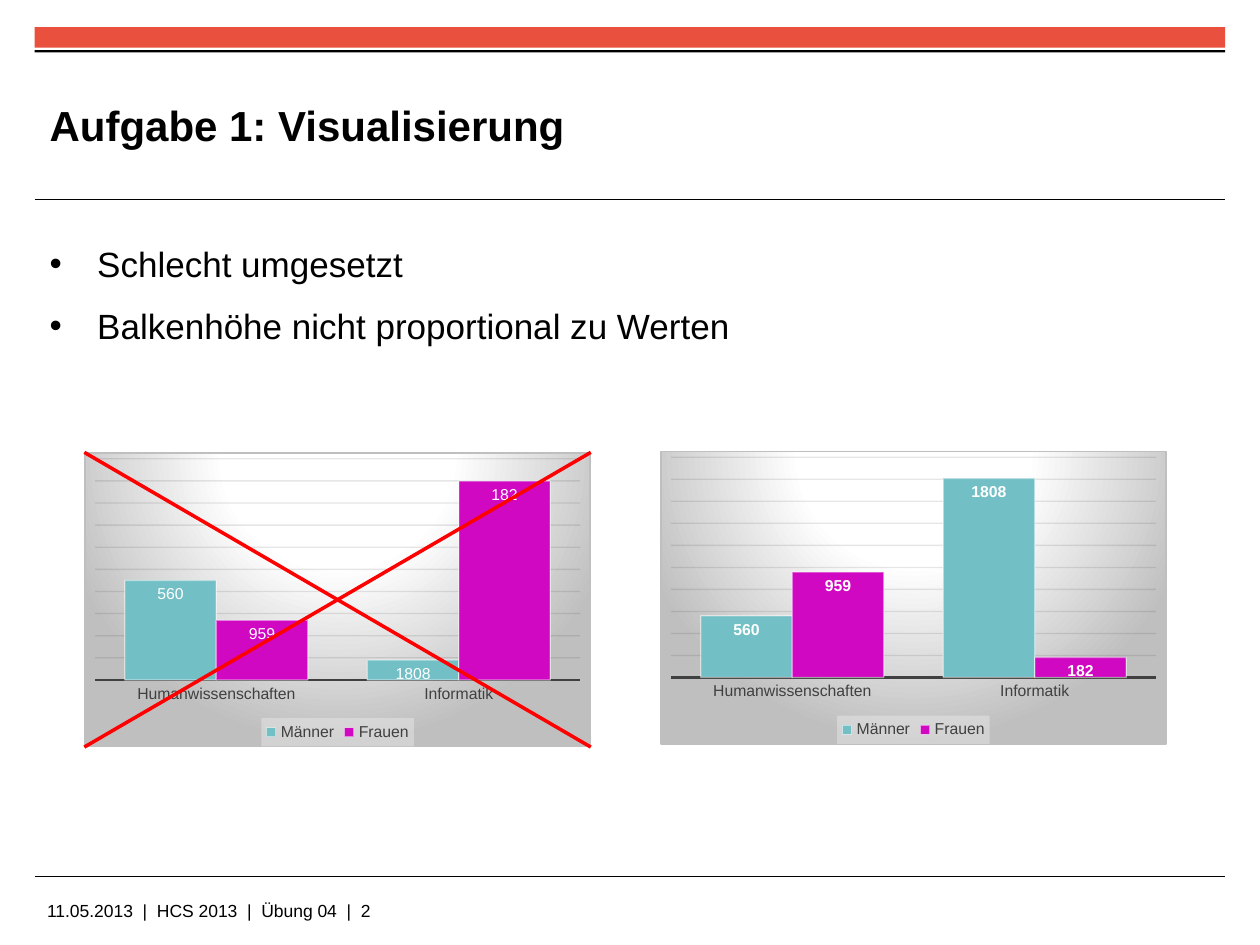
"""Builds the slide that contrasts a misleading bar chart with a proportional one."""
from dataclasses import dataclass

from pptx import Presentation
from pptx.chart.data import CategoryChartData
from pptx.dml.color import RGBColor
from pptx.enum.chart import XL_CHART_TYPE as ChartType
from pptx.enum.chart import XL_LABEL_POSITION as LabelPosition
from pptx.enum.chart import XL_LEGEND_POSITION as LegendPosition
from pptx.enum.chart import XL_TICK_MARK as TickMark
from pptx.enum.shapes import MSO_CONNECTOR as Connector
from pptx.enum.shapes import MSO_SHAPE as Shape
from pptx.enum.text import MSO_ANCHOR as Anchor
from pptx.oxml import parse_xml
from pptx.oxml.ns import nsdecls, qn
from pptx.util import Cm, Pt


@dataclass(frozen=True)
class Theme:
    font: str = "Arial"
    ink: str = "000000"
    paper: str = "FFFFFF"
    accent: str = "E9503E"
    cross: str = "FF0000"
    axis: str = "404040"
    grid: str = "0D0D0D"
    edge: str = "BFBFBF"
    legend: str = "F2F2F2"
    series: tuple = ("72BFC5", "D008C2")
    title_size: int = 24
    body_size: int = 20
    footer_size: int = 10
    chart_size: int = 9


class SlideBuilder:
    def __init__(self, slide, theme):
        self.slide = slide
        self.theme = theme

    def style_font(self, font, size, color, bold=False):
        font.name, font.size, font.bold = self.theme.font, Pt(size), bold
        font.color.rgb = RGBColor.from_string(color)

    def style_line(self, line, color, width):
        line.color.rgb = RGBColor.from_string(color)
        line.width = Pt(width)

    def fade(self, element, percent):
        for color in element.iter(qn("a:srgbClr")):
            color.append(parse_xml(f'<a:alpha {nsdecls("a")} val="{percent * 1000}"/>'))

    def fill_chart_part(self, element, fill):
        element.find(qn("c:txPr")).addprevious(
            parse_xml(f'<c:spPr {nsdecls("c", "a")}>{fill}</c:spPr>'))

    def bar(self, left, top, width, height, color):
        band = self.slide.shapes.add_shape(
            Shape.RECTANGLE, Cm(left), Cm(top), Cm(width), Cm(height))
        band.shadow.inherit = False
        band.fill.solid()
        band.fill.fore_color.rgb = RGBColor.from_string(color)
        band.line.fill.background()

    def line(self, start, end, color, width):
        stroke = self.slide.shapes.add_connector(
            Connector.STRAIGHT, *(Cm(value) for value in (*start, *end)))
        self.style_line(stroke.line, color, width)
        stroke._element.spPr.append(parse_xml(f'<a:effectLst {nsdecls("a")}/>'))

    def text(self, box, lines, size, bold=False, inset=(0, 0), anchor=Anchor.MIDDLE):
        frame = self.slide.shapes.add_textbox(*(Cm(value) for value in box)).text_frame
        frame.word_wrap = True
        frame.vertical_anchor = anchor
        frame.margin_left = frame.margin_right = Cm(inset[0])
        frame.margin_top = frame.margin_bottom = Cm(inset[1])
        frame.text = "\n".join(lines)
        for paragraph in frame.paragraphs:
            for run in paragraph.runs:
                self.style_font(run.font, size, self.theme.ink, bold)
        return frame

    def bullets(self, box, lines):
        frame = self.text(box, lines, self.theme.body_size, inset=(0, 0.13), anchor=Anchor.TOP)
        for paragraph in frame.paragraphs:
            paragraph.line_spacing = 1.3
            paragraph.space_before, paragraph.space_after = Pt(2), Pt(2.3)
            properties = paragraph._p.get_or_add_pPr()
            properties.set("marL", str(Cm(0.96)))
            properties.set("indent", str(Cm(-0.96)))
            properties.append(parse_xml(f'<a:buFont {nsdecls("a")} typeface="{self.theme.font}"/>'))
            properties.append(parse_xml(f'<a:buChar {nsdecls("a")} char="•"/>'))

    def chart(self, box, categories, values, captions=None):
        theme = self.theme
        data = CategoryChartData()
        data.categories = categories
        for name, heights in values.items():
            data.add_series(name, heights)
        chart = self.slide.shapes.add_chart(
            ChartType.COLUMN_CLUSTERED, *(Cm(value) for value in box), data).chart
        chart.has_title = False
        self.style_font(chart.font, 10, theme.ink)
        stops = "".join(
            f'<a:gs pos="{position}000"><a:srgbClr val="{color}"/></a:gs>'
            for position, color in ((0, theme.paper), (39, theme.paper), (100, theme.edge)))
        self.fill_chart_part(
            chart._chartSpace,
            f'<a:gradFill><a:gsLst>{stops}</a:gsLst><a:path path="circle">'
            '<a:fillToRect l="50000" t="-80000" r="50000" b="180000"/></a:path></a:gradFill>'
            f'<a:ln w="{Pt(0.75)}"><a:solidFill><a:srgbClr val="{theme.edge}"/></a:solidFill></a:ln>')
        self.style_axes(chart)
        self.style_legend(chart)
        self.style_series(chart.plots[0], captions or {})

    def style_axes(self, chart):
        heights, subjects = chart.value_axis, chart.category_axis
        heights.minimum_scale, heights.maximum_scale, heights.major_unit = 0, 2000, 200
        heights.has_major_gridlines = True
        self.style_line(heights.major_gridlines.format.line, self.theme.grid, 0.75)
        self.fade(heights._element.find(qn("c:majorGridlines")), 10)
        heights.visible = False
        subjects.major_tick_mark = subjects.minor_tick_mark = TickMark.NONE
        self.style_line(subjects.format.line, self.theme.axis, 1.5)
        self.style_font(subjects.tick_labels.font, self.theme.chart_size, self.theme.axis)

    def style_legend(self, chart):
        chart.has_legend = True
        legend = chart.legend
        legend.position = LegendPosition.BOTTOM
        legend.include_in_layout = False
        self.style_font(legend.font, self.theme.chart_size, self.theme.axis)
        self.fill_chart_part(
            legend._element,
            f'<a:solidFill><a:srgbClr val="{self.theme.legend}">'
            '<a:alpha val="39000"/></a:srgbClr></a:solidFill>')

    def style_series(self, plot, captions):
        theme = self.theme
        plot.gap_width, plot.overlap, plot.vary_by_categories = 65, 0, False
        for series, color in zip(plot.series, theme.series):
            series.format.fill.solid()
            series.format.fill.fore_color.rgb = RGBColor.from_string(color)
            self.style_line(series.format.line, theme.paper, 0.75)
            self.fade(series._element.spPr.find(qn("a:ln")), 50)
            labels = series.data_labels
            labels.show_value = True
            labels.position = LabelPosition.INSIDE_END
            self.style_font(labels.font, theme.chart_size, theme.paper, bold=True)
            for index, caption in enumerate(captions.get(series.name, ())):
                label = series.points[index].data_label
                label.text_frame.text = caption
                label.position = LabelPosition.INSIDE_END
                run = label.text_frame.paragraphs[0].runs[0]
                self.style_font(run.font, theme.chart_size, theme.paper)


def main():
    theme = Theme()
    deck = Presentation()
    deck.slide_width, deck.slide_height = Cm(25.4), Cm(19.05)
    builder = SlideBuilder(deck.slides.add_slide(deck.slide_layouts[6]), theme)

    margin, width = 0.7, 24
    builder.bar(margin, 0.55, width, 0.41, theme.accent)
    builder.bar(margin, 1.01, width, 0.05, theme.ink)
    for height in (4.03, 17.66):
        builder.line((margin, height), (margin + width, height), theme.ink, 0.6)
    builder.text((margin, 18.03, 20, 0.64), ["11.05.2013  |  HCS 2013  |  Übung 04  |  2"],
                 theme.footer_size, inset=(0.25, 0))

    builder.text((1, 1.35, 18.44, 2.34), ["Aufgabe 1: Visualisierung"], theme.title_size, bold=True)
    builder.bullets((1, 4.5, 23.3, 3.43),
                    ["Schlecht umgesetzt", "Balkenhöhe nicht proportional zu Werten"])

    subjects = ("Humanwissenschaften", "Informatik")
    counts = {"Männer": (560, 1808), "Frauen": (959, 182)}
    misleading = {"Männer": (900, 180), "Frauen": (540, 1800)}
    captions = {name: [str(count) for count in pair] for name, pair in counts.items()}
    left, top, chart_width, chart_height = 1.7, 9.12, 10.21, 5.94
    right, bottom = left + chart_width, top + chart_height
    builder.chart((left, top, chart_width, chart_height), subjects, misleading, captions)
    builder.line((left, top), (right, bottom), theme.cross, 2)
    builder.line((left, bottom), (right, top), theme.cross, 2)
    builder.chart((13.31, 9.09, chart_width, 5.92), subjects, counts)

    deck.save("out.pptx")


if __name__ == "__main__":
    main()
